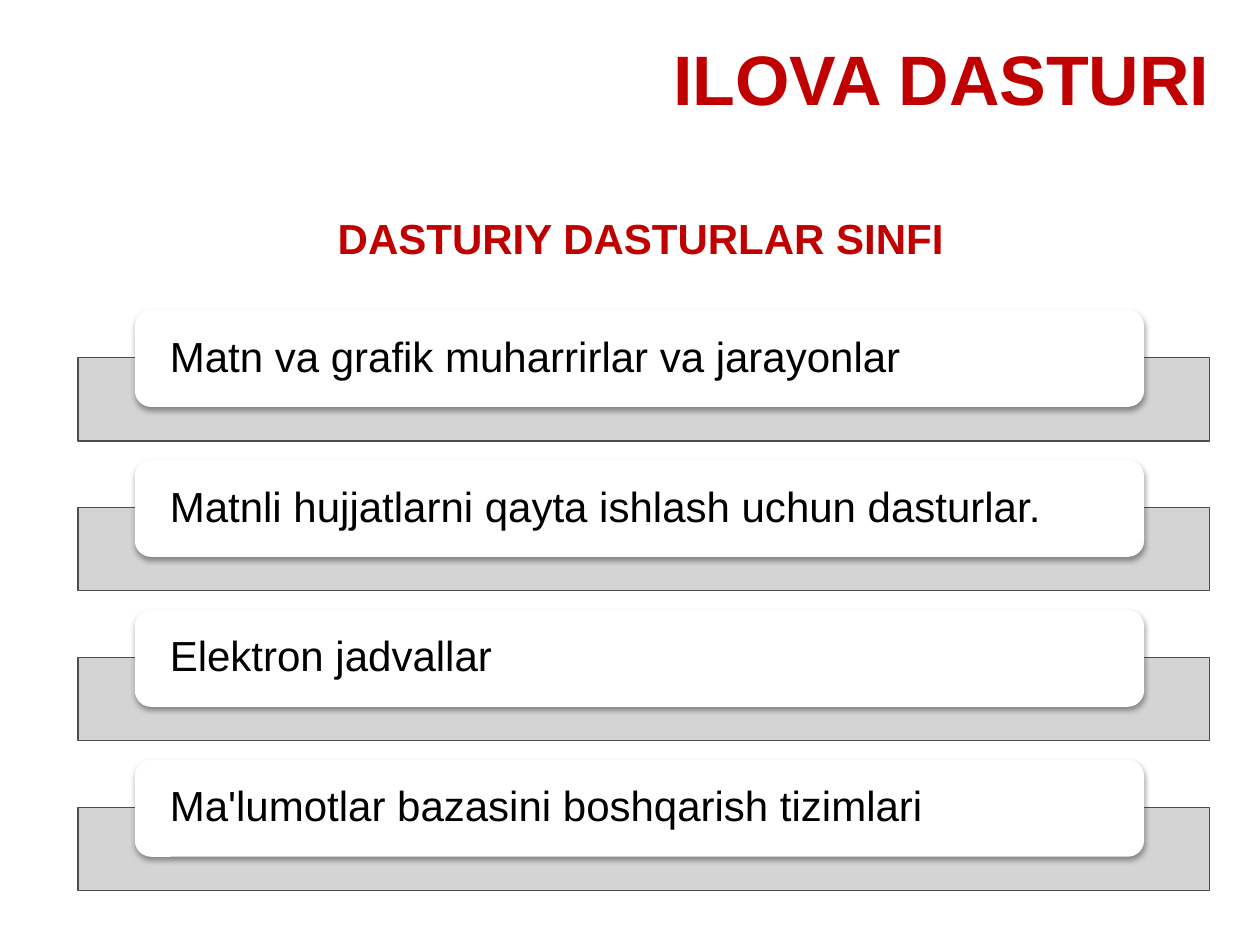
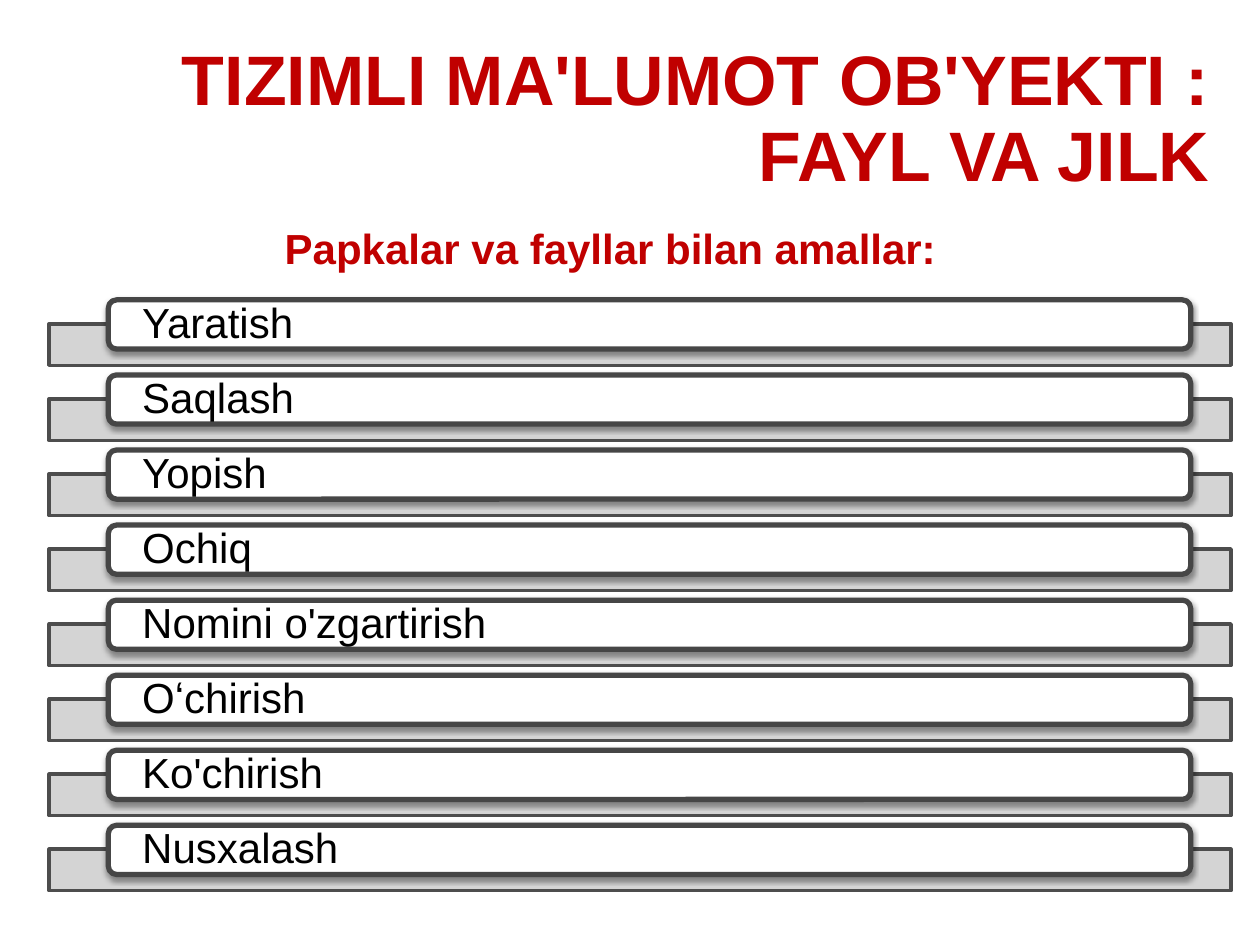
import pptx
import pptx.dml.color
import pptx.enum.shapes
import pptx.enum.text
import pptx.oxml.ns
import pptx.util
from lxml import etree

Inches = pptx.util.Inches
Pt = pptx.util.Pt
Align = pptx.enum.text.PP_ALIGN
Anchor = pptx.enum.text.MSO_ANCHOR
Preset = pptx.enum.shapes.MSO_SHAPE
qn = pptx.oxml.ns.qn

FONT = "Arial"
RED = "C00000"
BLACK = "000000"
WHITE = "FFFFFF"
BAR_GREY = "D0D0D0"
BAR_EDGE = "4D4D4D"
CARD_EDGE = "464646"
TITLE_ONLY = 5


def colour(hex_text):
    """Turn a hex string into a colour."""
    return pptx.dml.color.RGBColor.from_string(hex_text)


def write(shape, text, size=24, color=BLACK, bold=False, align=Align.LEFT,
          anchor=Anchor.TOP, spacing=None, before=0, insets=(0.1, 0.05)):
    """Put one formatted paragraph into a shape."""
    frame = shape.text_frame
    frame.word_wrap = True
    frame.auto_size = pptx.enum.text.MSO_AUTO_SIZE.NONE
    frame.vertical_anchor = anchor
    frame.margin_left = frame.margin_right = Inches(insets[0])
    frame.margin_top = frame.margin_bottom = Inches(insets[1])
    para = frame.paragraphs[0]
    para.alignment = align
    para.line_spacing = spacing
    para.space_before = Pt(before)
    span = para.add_run()
    span.text = text
    span.font.name = FONT
    span.font.size = Pt(size)
    span.font.bold = bold
    span.font.color.rgb = colour(color)


def add_title(page, text):
    """Place the red title at the top right."""
    title = page.shapes.title
    title.left, title.top = Inches(0), Inches(0.31)
    title.width, title.height = Inches(9.7), Inches(1.72)
    write(title, text, size=40, color=RED, bold=True, align=Align.RIGHT,
          spacing=0.9, before=3.6)


def add_subtitle(page, text, left, top, width):
    """Add the centred red line above the list."""
    box = page.shapes.add_textbox(Inches(left), Inches(top), Inches(width), Inches(0.5))
    write(box, text, color=RED, bold=True, align=Align.CENTER, anchor=Anchor.MIDDLE)


def add_block(page, preset, left, top, width, height, fill, edge, edge_width):
    """Add a flat filled shape, outlined when an edge width is given."""
    block = page.shapes.add_shape(preset, Inches(left), Inches(top),
                                  Inches(width), Inches(height))
    block.shadow.inherit = False
    block.fill.solid()
    block.fill.fore_color.rgb = colour(fill)
    if edge_width:
        block.line.color.rgb = colour(edge)
        block.line.width = Pt(edge_width)
    else:
        block.line.fill.background()
    return block


def set_opacity(color_element, percent):
    """Make a colour element partly transparent."""
    etree.SubElement(color_element, qn("a:alpha"), val=str(percent * 1000))


def drop_shadow(shape):
    """Give a shape a soft shadow below it."""
    effects = shape._element.spPr.find(qn("a:effectLst"))
    shadow = etree.SubElement(effects, qn("a:outerShdw"), blurRad=str(Pt(3.1)),
                              dist=str(Pt(1.6)), dir="5400000", rotWithShape="0")
    set_opacity(etree.SubElement(shadow, qn("a:srgbClr"), val=BLACK), 38)


def add_card_list(page, items, bar, card, last_top, inset, bar_edge, card_edge):
    """Stack evenly spaced cards, each in front of a grey bar."""
    step = (last_top - bar[1]) / (len(items) - 1)
    for index, item in enumerate(items):
        bar_left, bar_top, bar_width, bar_height = bar
        strip = add_block(page, Preset.RECTANGLE, bar_left, bar_top + index * step,
                          bar_width, bar_height, BAR_GREY, BAR_EDGE, bar_edge)
        fill = strip._element.spPr.find(qn("a:solidFill"))
        set_opacity(fill.find(qn("a:srgbClr")), 90)
        card_left, card_top, card_width, card_height = card
        label = add_block(page, Preset.ROUNDED_RECTANGLE, card_left,
                          card_top + index * step, card_width, card_height,
                          WHITE, CARD_EDGE, card_edge)
        drop_shadow(label)
        write(label, item, anchor=Anchor.MIDDLE, spacing=0.9, insets=(inset, 0))


def add_page(deck, title):
    """Add a title-only slide with its title."""
    page = deck.slides.add_slide(deck.slide_layouts[TITLE_ONLY])
    add_title(page, title)
    return page


def main():
    """Build the two list slides and save them."""
    deck = pptx.Presentation()
    deck.slide_width, deck.slide_height = Inches(10), Inches(7.5)

    page = add_page(deck, "ILOVA DASTURI")
    classes = [
        "Matn va grafik muharrirlar va jarayonlar",
        "Matnli hujjatlarni qayta ishlash uchun dasturlar.",
        "Elektron jadvallar",
        "Ma'lumotlar bazasini boshqarish tizimlari",
    ]
    add_card_list(page, classes, bar=(0.62, 2.84, 8.98, 0.66),
                  card=(1.07, 2.46, 8.01, 0.77), last_top=6.41, inset=0.24,
                  bar_edge=0.75, card_edge=0)
    add_subtitle(page, "DASTURIY DASTURLAR SINFI", 0.17, 1.64, 9.83)

    page = add_page(deck, "TIZIMLI MA'LUMOT OB'YEKTI : FAYL VA JILK")
    add_subtitle(page, "Papkalar va fayllar bilan amallar:", 2.03, 1.72, 5.63)
    actions = ["Yaratish", "Saqlash", "Yopish", "Ochiq", "Nomini o'zgartirish",
               "Oʻchirish", "Ko'chirish", "Nusxalash"]
    add_card_list(page, actions, bar=(0.39, 2.57, 9.38, 0.33),
                  card=(0.86, 2.38, 8.59, 0.39), last_top=6.74, inset=0.25,
                  bar_edge=2, card_edge=3)

    deck.save("out.pptx")


if __name__ == "__main__":
    main()
